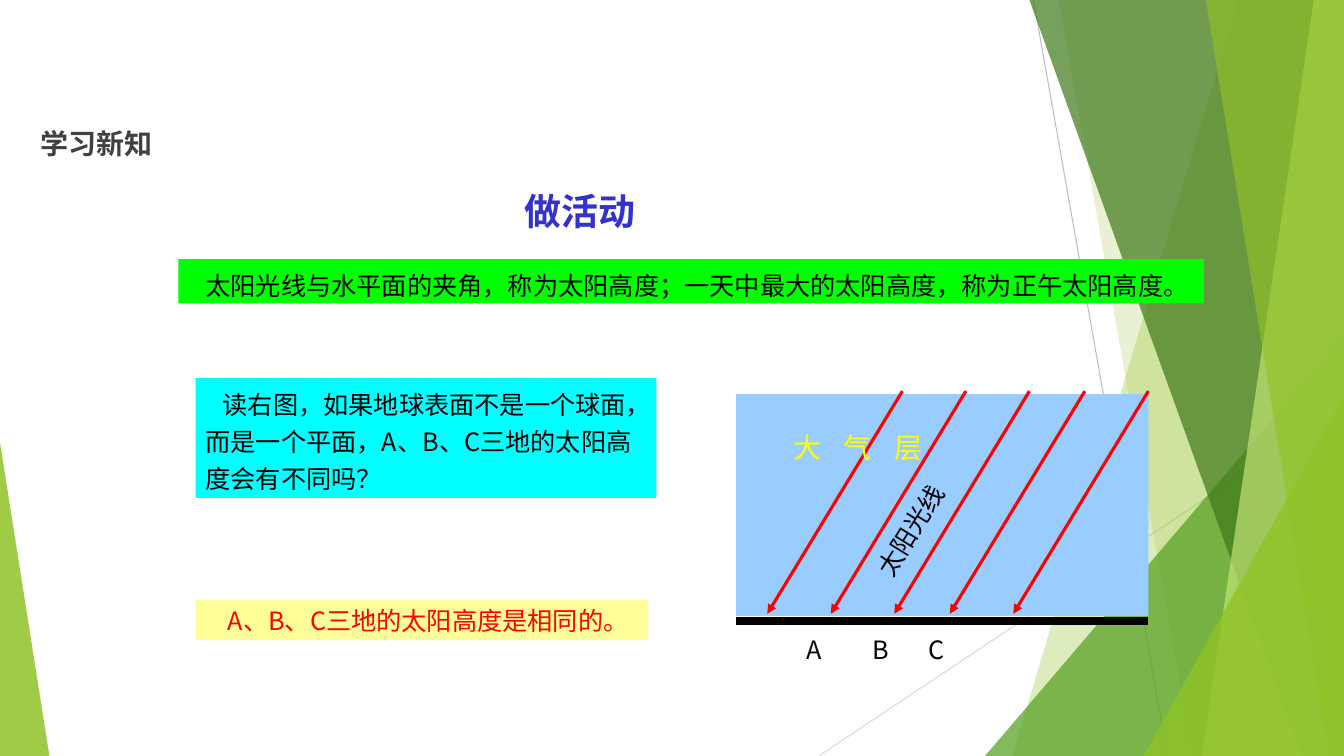
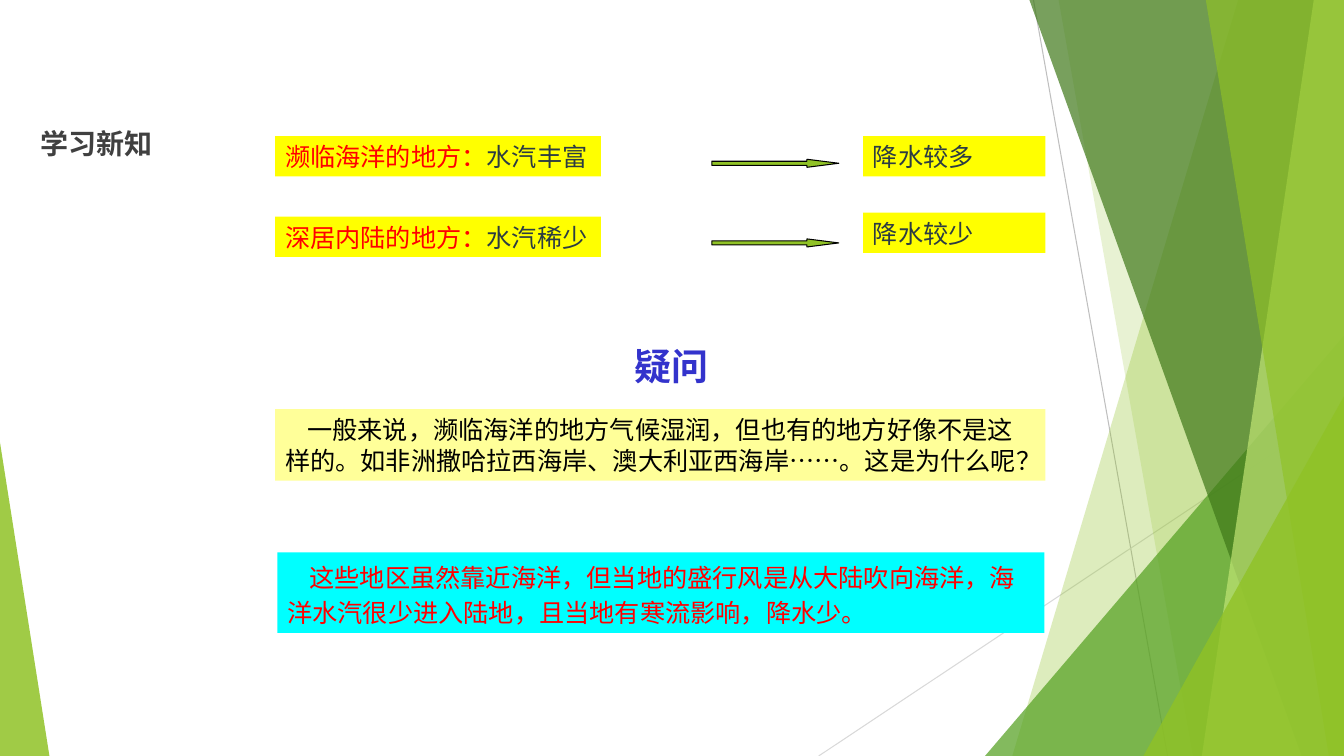
"""Build two geography slides on sun altitude, moisture and rainfall."""
from lxml import etree
from pptx import Presentation
from pptx.dml.color import RGBColor
from pptx.enum.shapes import MSO_CONNECTOR, MSO_SHAPE
from pptx.enum.text import PP_ALIGN
from pptx.oxml.ns import qn
from pptx.util import Pt

PX = 9144
WIDTH, HEIGHT = 1333, 750
FONT = "Noto Sans CJK SC"
LINE_HEIGHT = 1.22

STRAIGHT = MSO_CONNECTOR.STRAIGHT
RECTANGLE = MSO_SHAPE.RECTANGLE
TRIANGLE = MSO_SHAPE.ISOSCELES_TRIANGLE
RIGHT_ARROW = MSO_SHAPE.RIGHT_ARROW
LEFT, CENTER = PP_ALIGN.LEFT, PP_ALIGN.CENTER

BLACK = RGBColor(0x00, 0x00, 0x00)
RED = RGBColor(0xFF, 0x00, 0x00)
YELLOW = RGBColor(0xFF, 0xFF, 0x00)
PALE_YELLOW = RGBColor(0xFF, 0xFF, 0x99)
CYAN = RGBColor(0x00, 0xFF, 0xFF)
BRIGHT_GREEN = RGBColor(0x00, 0xFF, 0x00)
SKY = RGBColor(0x99, 0xCC, 0xFF)
TITLE_BLUE = RGBColor(0x33, 0x33, 0xCC)
HEADING_GRAY = RGBColor(0x40, 0x40, 0x40)
SLATE = RGBColor(0x2C, 0x3C, 0x43)
GRAY = RGBColor(0xBF, 0xBF, 0xBF)
LIGHT_GRAY = RGBColor(0xD9, 0xD9, 0xD9)
LEAF = RGBColor(0x90, 0xC2, 0x26)
GRASS = RGBColor(0x54, 0xA0, 0x21)
FOREST = RGBColor(0x3F, 0x78, 0x19)
LIME = RGBColor(0xC0, 0xE4, 0x74)


def add_line(slide, start, end, colour, width, arrow=False):
    """Draw a straight line, with an arrowhead at its end if asked."""
    points = [value * PX for value in start + end]
    line = slide.shapes.add_connector(STRAIGHT, *points)
    line.line.color.rgb = colour
    line.line.width = Pt(width)
    if arrow:
        etree.SubElement(line.line._get_or_add_ln(), qn("a:tailEnd"), type="triangle")
    etree.SubElement(line._element.spPr, qn("a:effectLst"))


def add_label(slide, box, parts, fill=None, size=18, bold=False, spacing=1,
              indent=0, align=LEFT):
    """Write (text, colour) parts in one paragraph, on a filled box if asked."""
    box = [value * PX for value in box]
    if fill is None:
        shape = slide.shapes.add_textbox(*box)
    else:
        shape = slide.shapes.add_shape(RECTANGLE, *box)
        shape.shadow.inherit = False
        shape.fill.solid()
        shape.fill.fore_color.rgb = fill
        shape.line.fill.background()
    frame = shape.text_frame
    frame.word_wrap = True
    frame.vertical_anchor = TOP
    paragraph = frame.paragraphs[0]
    paragraph.text = parts[0][0]
    for text, _ in parts[1:]:
        paragraph.add_run().text = text
    paragraph.alignment = align
    paragraph.line_spacing = Pt(size * LINE_HEIGHT * spacing)
    paragraph._p.get_or_add_pPr().set("indent", str(indent * PX))
    for run, (_, colour) in zip(paragraph.runs, parts):
        run.font.size = Pt(size)
        run.font.bold = bold
        run.font.color.rgb = colour
        run.font.name = FONT
        etree.SubElement(run._r.get_or_add_rPr(), qn("a:ea"), typeface=FONT)
    return shape


TOP = 1
from pptx.enum.text import MSO_ANCHOR
TOP = MSO_ANCHOR.TOP

presentation = Presentation()
presentation.slide_width = WIDTH * PX
presentation.slide_height = HEIGHT * PX
blank = presentation.slide_layouts[6]
sun_slide = presentation.slides.add_slide(blank)
rain_slide = presentation.slides.add_slide(blank)

add_line(sun_slide, (1025, 0), (1158, HEIGHT), GRAY, 0.75)
add_line(sun_slide, (WIDTH, 403), (812, HEIGHT), LIGHT_GRAY, 0.75)
facets = [
    ("panel", (1228, 1004), LEAF, 30),
    ("panel", (1050, 1183), LEAF, 20),
    ("triangle", (977, 333, WIDTH, 1), GRASS, 72),
    ("panel", (1021, 1291), FOREST, 70),
    ("panel", (1303, 1192), LIME, 70),
    ("panel", (1196, 1318), LEAF, 65),
    ("triangle", (1134, 393, WIDTH, 1), LEAF, 80),
    ("triangle", (0, 439, 49, 0), LEAF, 85),
]
for kind, geometry, colour, opacity in facets:
    if kind == "panel":
        top_x, bottom_x = geometry
        builder = sun_slide.shapes.build_freeform(top_x, 0, scale=PX)
        builder.add_line_segments([(WIDTH, 0), (WIDTH, HEIGHT), (bottom_x, HEIGHT)])
        facet = builder.convert_to_shape()
    else:
        left, top, right, apex = geometry
        facet = sun_slide.shapes.add_shape(
            TRIANGLE, left * PX, top * PX, (right - left) * PX, (HEIGHT - top) * PX)
        facet.adjustments[0] = apex
    facet.shadow.inherit = False
    facet.line.fill.background()
    facet.fill.solid()
    facet.fill.fore_color.rgb = colour
    colour_element = facet._element.spPr.find(".//" + qn("a:srgbClr"))
    etree.SubElement(colour_element, qn("a:alpha"), val=str(opacity * 1000))

for shape in list(sun_slide.shapes):
    blank.shapes.element.append(shape.element)

titles = [(sun_slide, "做活动", 505, 181), (rain_slide, "疑问", 596, 335)]
for slide, title, left, top in titles:
    add_label(slide, (30, 120, 140, 44), [("学习新知", HEADING_GRAY)], size=20, bold=True)
    add_label(slide, (left, top, 140, 45), [(title, TITLE_BLUE)], size=26.4,
              bold=True, align=CENTER)

add_label(sun_slide, (177, 257, 1017, 44),
          [("太阳光线与水平面的夹角，称为太阳高度；一天中最大的太阳高度，称为正午太阳高度。", BLACK)],
          BRIGHT_GREEN, spacing=1.2, indent=17)
add_label(sun_slide, (194, 375, 457, 119),
          [("读右图，如果地球表面不是一个球面，而是一个平面，A、B、C三地的太阳高度会有不同吗？", BLACK)],
          CYAN, spacing=1.2, indent=17)
add_label(sun_slide, (194, 595, 449, 40),
          [("A、B、C三地的太阳高度是相同的。", RED)], PALE_YELLOW, indent=22)

atmosphere = sun_slide.shapes.add_shape(RECTANGLE, 730 * PX, 391 * PX, 409 * PX, 220 * PX)
atmosphere.shadow.inherit = False
atmosphere.fill.solid()
atmosphere.fill.fore_color.rgb = SKY
atmosphere.line.fill.background()
add_line(sun_slide, (730, 616), (1139, 616), BLACK, 6)
for ray_x in (895, 958, 1021, 1076, 1139):
    add_line(sun_slide, (ray_x, 388), (ray_x - 134, 609), RED, 2.25, arrow=True)
for place, left in (("A", 790), ("B", 856), ("C", 911)):
    add_label(sun_slide, (left, 624, 71, 40), [(place, BLACK)])
ray_label = add_label(sun_slide, (838, 498, 139, 40), [("太阳光线", BLACK)])
ray_label.rotation = 301.8
layer_label = add_label(sun_slide, (777, 422, 323, 44), [("大\t气\t层", YELLOW)], size=20)
layer_properties = layer_label.text_frame.paragraphs[0]._p.get_or_add_pPr()
tab_list = etree.SubElement(layer_properties, qn("a:tabLst"))
for position in (90, 193):
    etree.SubElement(tab_list, qn("a:tab"), pos=str(position * PX), algn="l")

rainfall_rows = [
    ("濒临海洋的地方：", "水汽丰富", "降水较多", 135, 135, 158),
    ("深居内陆的地方：", "水汽稀少", "降水较少", 215, 211, 237),
]
for region, moisture, rainfall, region_top, rainfall_top, arrow_top in rainfall_rows:
    add_label(rain_slide, (273, region_top, 323, 40),
              [(region, RED), (moisture, SLATE)], YELLOW)
    add_label(rain_slide, (856, rainfall_top, 181, 40), [(rainfall, SLATE)], YELLOW)
    arrow = rain_slide.shapes.add_shape(
        RIGHT_ARROW, 706 * PX, arrow_top * PX, 126 * PX, 8 * PX)
    arrow.adjustments[1] = 3.95
    arrow.shadow.inherit = False
    arrow.fill.solid()
    arrow.fill.fore_color.rgb = LEAF
    arrow.line.color.rgb = BLACK
    arrow.line.width = Pt(0.75)

add_label(rain_slide, (273, 406, 764, 71),
          [("一般来说，濒临海洋的地方气候湿润，但也有的地方好像不是这样的。"
            "如非洲撒哈拉西海岸、澳大利亚西海岸……。这是为什么呢？", BLACK)],
          PALE_YELLOW, indent=22)
add_label(rain_slide, (275, 548, 761, 80),
          [("这些地区虽然靠近海洋，但当地的盛行风是从大陆吹向海洋，"
            "海洋水汽很少进入陆地，且当地有寒流影响，降水少。", RED)],
          CYAN, spacing=1.15, indent=22)

presentation.save("out.pptx")
